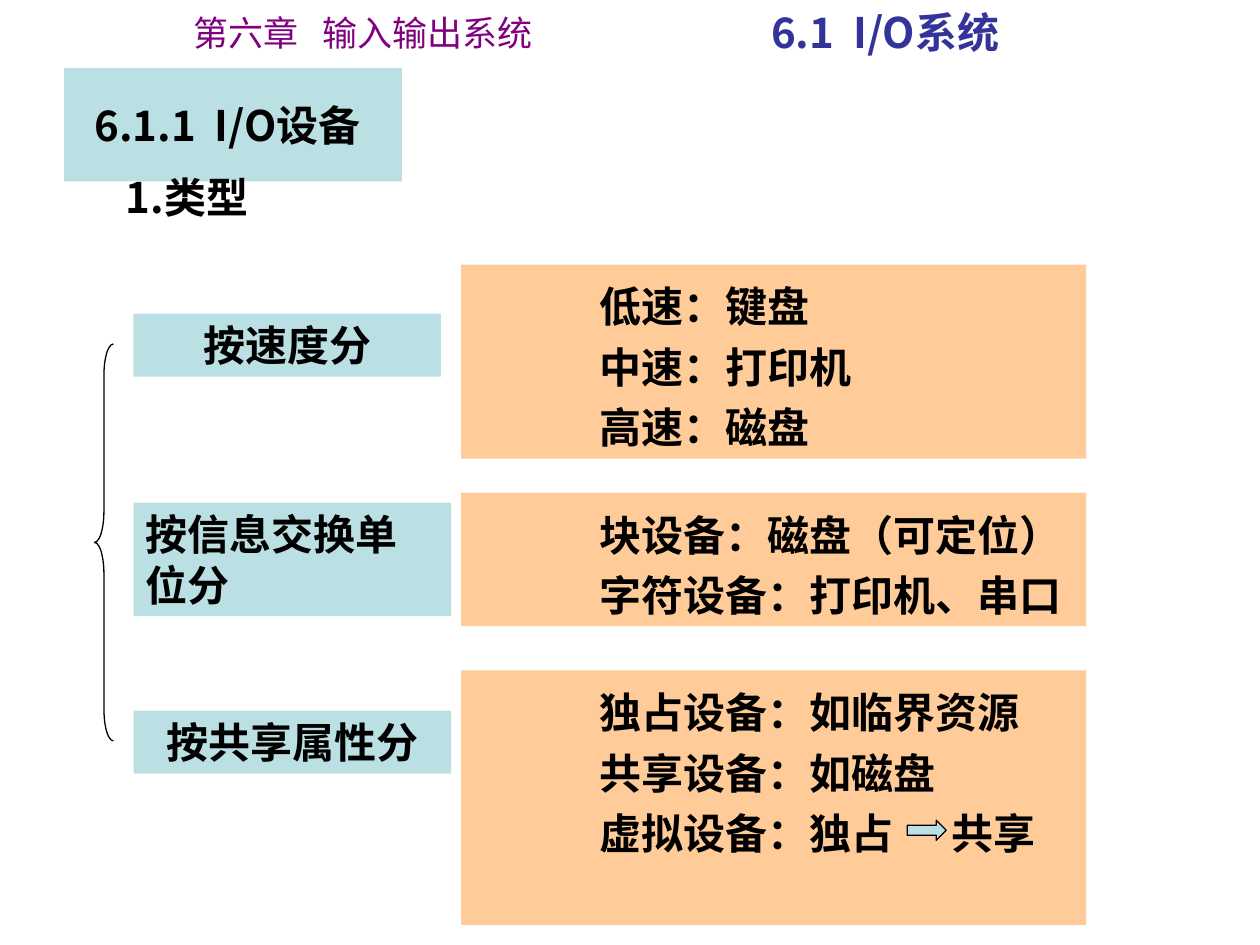
from dataclasses import dataclass
from typing import Optional

from lxml.etree import SubElement
from pptx import Presentation
from pptx.dml.color import RGBColor
from pptx.enum.shapes import MSO_SHAPE as Preset
from pptx.enum.text import MSO_ANCHOR as Anchor, MSO_AUTO_SIZE as AutoSize, PP_ALIGN as Align
from pptx.oxml.ns import qn
from pptx.util import Inches, Pt

COLUMNS, ROWS = 100, 75
PALE, PEACH, BLACK, PURPLE, NAVY = "BBE0E3", "FFCC99", "000000", "800080", "333399"
CJK, LATIN = "Noto Sans CJK SC", "Roboto"


@dataclass(frozen=True)
class Area:
    column: float
    row: float
    columns: float
    rows: float


@dataclass(frozen=True)
class Category:
    label: str
    label_area: Area
    align: Align
    devices: tuple[str, ...]
    list_row: float
    list_rows: float


CATEGORIES = (
    Category("按速度分", Area(10.6, 24.9, 24.4, 5), Align.CENTER,
             ("低速：键盘", "中速：打印机", "高速：磁盘"), 21, 15.4),
    Category("按信息交换单位分", Area(10.6, 39.9, 25.2, 9), Align.LEFT,
             ("块设备：磁盘（可定位）", "字符设备：打印机、串口"), 39.1, 10.6),
    Category("按共享属性分", Area(10.6, 56.4, 25.2, 5), Align.CENTER,
             ("独占设备：如临界资源", "共享设备：如磁盘", "虚拟设备：独占 共享"), 53.2, 20.2),
)

presentation = Presentation()
presentation.slide_width, presentation.slide_height = Inches(10), Inches(7.5)
cell_width = presentation.slide_width / COLUMNS
cell_height = presentation.slide_height / ROWS
slide = presentation.slides.add_slide(presentation.slide_layouts.get_by_name("Comparison"))


def color(value: str) -> RGBColor:
    return RGBColor.from_string(value)


def place(shape, area: Area) -> None:
    shape.left, shape.width = int(area.column * cell_width), int(area.columns * cell_width)
    shape.top, shape.height = int(area.row * cell_height), int(area.rows * cell_height)


def add_preset(preset: Preset, area: Area, fill: Optional[str] = None, line: Optional[str] = None):
    shape = slide.shapes.add_shape(preset, 0, 0, 0, 0)
    place(shape, area)
    shape.shadow.inherit = False
    if fill:
        shape.fill.solid()
        shape.fill.fore_color.rgb = color(fill)
    else:
        shape.fill.background()
    if line:
        shape.line.color.rgb = color(line)
        shape.line.width = Pt(0.75)
    else:
        shape.line.fill.background()
    return shape


def write(shape, *lines: str, font: str = CJK, size: float = 24, ink: str = BLACK,
          bold: bool = True, align: Align = Align.LEFT, anchor: Anchor = Anchor.TOP,
          spacing: float = 1, indent: float = 0, gap: float = 0,
          wrap: bool = True) -> None:
    frame = shape.text_frame
    frame.auto_size, frame.word_wrap, frame.vertical_anchor = AutoSize.NONE, wrap, anchor
    for index, line in enumerate(lines):
        paragraph = frame.add_paragraph() if index else frame.paragraphs[0]
        paragraph.alignment, paragraph.line_spacing = align, spacing
        paragraph.space_before = Pt(0)
        properties = paragraph._p.get_or_add_pPr()
        properties.set("marL", str(int(indent * cell_width)))
        properties.set("indent", "0")
        SubElement(properties, qn("a:buNone"))
        for part in filter(None, line.partition(" ") if gap else (line,)):
            run = paragraph.add_run()
            run.text = part
            run.font.name, run.font.size, run.font.bold = font, Pt(size), bold
            run.font.color.rgb = color(ink)
            run_properties = run._r.get_or_add_rPr()
            SubElement(run_properties, qn("a:ea"), typeface=font)
            if part == " ":
                run_properties.set("spc", str(int(gap * 100)))


def add_text(area: Area, *lines: str, **text_format) -> None:
    box = slide.shapes.add_textbox(0, 0, 0, 0)
    place(box, area)
    write(box, *lines, **text_format)


def add_category(category: Category, placeholder) -> None:
    place(placeholder, Area(36.6, category.list_row, 49.6, category.list_rows))
    placeholder.fill.solid()
    placeholder.fill.fore_color.rgb = color(PEACH)
    write(placeholder, *category.devices, font=LATIN, spacing=1.2, indent=10, gap=27)
    label = add_preset(Preset.RECTANGLE, category.label_area, PALE)
    write(label, category.label, font=LATIN, align=category.align)


title, *bodies = list(slide.placeholders)[:5]
place(title, Area(60.2, 0, 29.9, 5))
write(title, "6.1  I/O系统", ink=NAVY)
add_text(Area(14.4, 0.4, 28.9, 4.4), "第六章 输入输出系统",
         size=20, ink=PURPLE, bold=False, gap=9, wrap=False)

section = add_preset(Preset.RECTANGLE, Area(5.1, 5.4, 26.8, 9), PALE)
write(section, "6.1.1  I/O设备", anchor=Anchor.MIDDLE, wrap=False, indent=1.4)
add_text(Area(9, 12.3, 16.5, 5.8), "1.类型", spacing=1.2)

for category, body in zip(CATEGORIES, bodies):
    add_category(category, body)
for spare in bodies[len(CATEGORIES):]:
    spare.element.getparent().remove(spare.element)

add_preset(Preset.RIGHT_ARROW, Area(72, 65.1, 3.1, 1.6), PALE, BLACK)
brace = add_preset(Preset.LEFT_BRACE, Area(7.5, 27.3, 1.5, 31.5), line=BLACK)
brace.adjustments[0] = 1.65

presentation.save("out.pptx")
